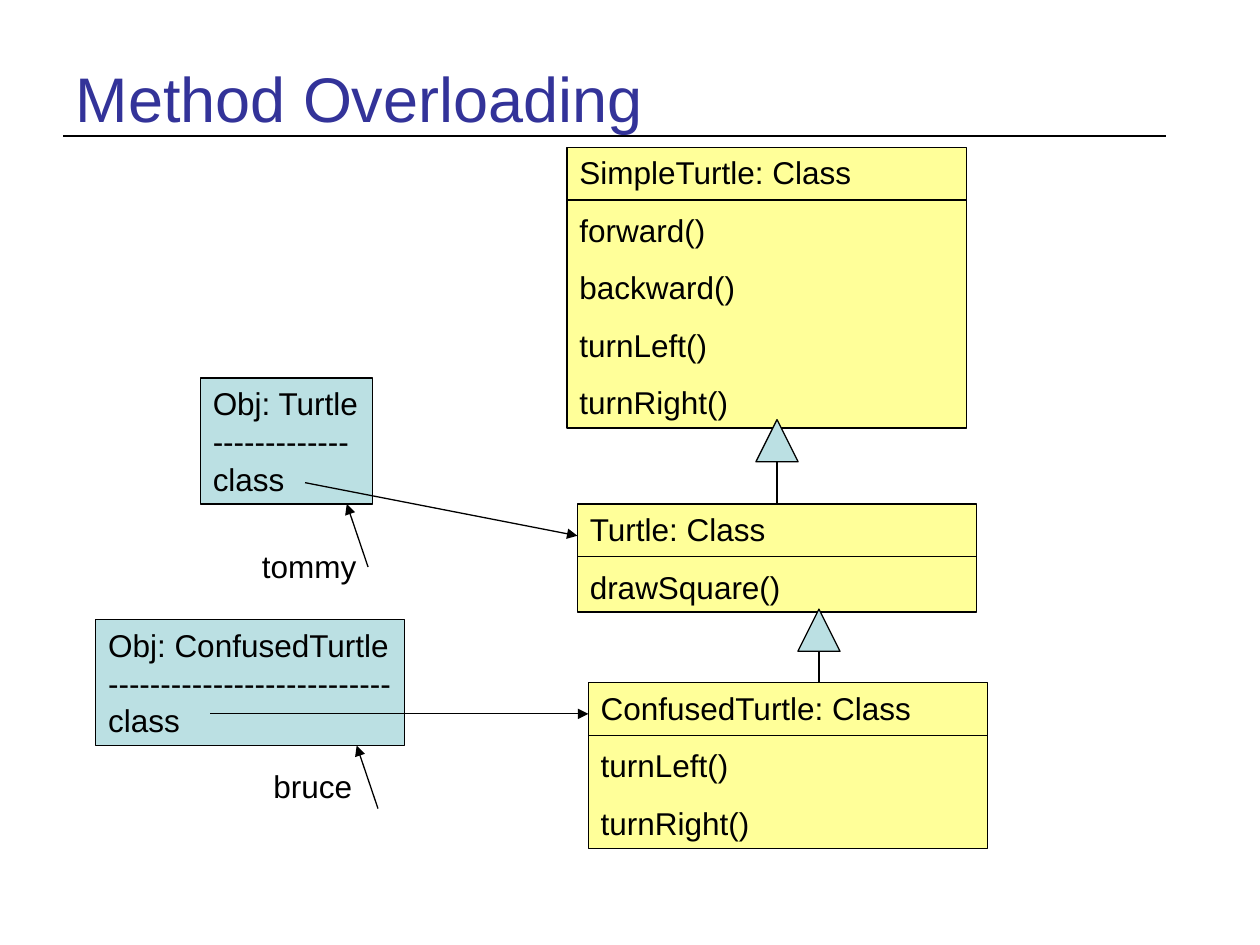
from lxml.etree import SubElement
from pptx import Presentation
from pptx.dml.color import RGBColor
from pptx.enum.shapes import MSO_CONNECTOR, MSO_SHAPE
from pptx.enum.text import MSO_ANCHOR, MSO_AUTO_SIZE, PP_ALIGN
from pptx.oxml.ns import qn
from pptx.util import Cm, Pt

COLORS = {
    "title": "333399",
    "ink": "000000",
    "class": "FFFF99",
    "object": "BBE0E3",
}
FONT = "Arial"
CLASS_WIDTH = 8.05
HEADER_HEIGHT = 1.06
OBJECT_HEIGHT = 2.54
TRIANGLE_SIZE = 0.85


def color(name):
    return RGBColor.from_string(COLORS[name])


def write_text(frame, text, size=18, ink="ink", space_before=0, wrap=True,
               anchor=MSO_ANCHOR.TOP, auto_size=MSO_AUTO_SIZE.SHAPE_TO_FIT_TEXT):
    frame.text = text
    frame.word_wrap = wrap
    frame.auto_size = auto_size
    frame.vertical_anchor = anchor
    for paragraph in frame.paragraphs:
        paragraph.alignment = PP_ALIGN.LEFT
        paragraph.space_before = Pt(space_before)
        font = paragraph.runs[0].font
        font.name = FONT
        font.size = Pt(size)
        font.color.rgb = color(ink)


def add_line(slide, start, end, width=0.75, arrow=False):
    line = slide.shapes.add_connector(
        MSO_CONNECTOR.STRAIGHT, *(Cm(value) for value in (*start, *end)))
    line.line.color.rgb = color("ink")
    line.line.width = Pt(width)
    if arrow:
        SubElement(line.line._get_or_add_ln(), qn("a:tailEnd"), type="triangle")
    SubElement(line._element.spPr, qn("a:effectLst"))
    return line


def add_box(slide, kind, fill, left, top, width, height):
    box = slide.shapes.add_shape(kind, Cm(left), Cm(top), Cm(width), Cm(height))
    box.shadow.inherit = False
    box.fill.solid()
    box.fill.fore_color.rgb = color(fill)
    box.line.color.rgb = color("ink")
    box.line.width = Pt(0.75)
    return box


def add_heading(slide, text, left, top, width, height):
    title = slide.shapes.title
    title.left, title.top = Cm(left), Cm(top)
    title.width, title.height = Cm(width), Cm(height)
    write_text(title.text_frame, text, size=36, ink="title",
               anchor=MSO_ANCHOR.MIDDLE, auto_size=MSO_AUTO_SIZE.NONE)
    add_line(slide, (left, top + 1.98), (left + 22.23, top + 1.98), width=1.5)


def add_class(slide, name, methods, left, top, height):
    box = add_box(slide, MSO_SHAPE.RECTANGLE, "class", left, top, CLASS_WIDTH, height)
    write_text(box.text_frame, "\n".join([f"{name}: Class", *methods]), space_before=11.2)
    divider = top + HEADER_HEIGHT
    add_line(slide, (left, divider), (left + CLASS_WIDTH, divider))
    return box


def add_inheritance(slide, center, top, subclass_top):
    add_box(slide, MSO_SHAPE.ISOSCELES_TRIANGLE, "object",
            center - TRIANGLE_SIZE / 2, top, TRIANGLE_SIZE, TRIANGLE_SIZE)
    return add_line(slide, (center, top + TRIANGLE_SIZE), (center, subclass_top))


def add_object(slide, class_name, dashes, left, top, width, pointer_start, pointer_end):
    box = add_box(slide, MSO_SHAPE.RECTANGLE, "object", left, top, width, OBJECT_HEIGHT)
    write_text(box.text_frame, f"Obj: {class_name}\n{'-' * dashes}\nclass", wrap=False)
    add_line(slide, (left + pointer_start[0], top + pointer_start[1]),
             pointer_end, arrow=True)


def add_variable(slide, name, left, top, width, arrow_tip):
    label = slide.shapes.add_textbox(Cm(left), Cm(top), Cm(width), Cm(1.02))
    write_text(label.text_frame, name, wrap=False)
    tip_x, tip_y = arrow_tip
    add_line(slide, (tip_x + 0.43, tip_y + 1.27), arrow_tip, arrow=True)


def main():
    presentation = Presentation()
    presentation.slide_width, presentation.slide_height = Cm(25.4), Cm(19.05)
    slide = presentation.slides.add_slide(presentation.slide_layouts[5])

    add_heading(slide, "Method Overloading", 1.27, 0.76, 22.86, 2.41)

    add_class(slide, "SimpleTurtle",
              ["forward()", "backward()", "turnLeft()", "turnRight()"], 11.43, 2.97, 5.66)
    turtle_left = 11.64
    turtle = add_class(slide, "Turtle", ["drawSquare()"], turtle_left, 10.16, 2.18)
    add_class(slide, "ConfusedTurtle", ["turnLeft()", "turnRight()"], 11.86, 13.76, 3.35)

    turtle_stem = add_inheritance(slide, turtle_left + CLASS_WIDTH / 2, 8.46, 10.16)
    turtle_stem.end_connect(turtle, 0)
    add_inheritance(slide, 16.51, 12.28, 13.76)

    add_object(slide, "Turtle", 13, 4.04, 7.62, 3.47, (2.11, 2.11), (turtle_left, 10.8))
    add_object(slide, "ConfusedTurtle", 27, 1.93, 12.49, 6.22, (2.31, 1.9), (11.86, 14.39))

    add_variable(slide, "tommy", 5.03, 10.9, 2.5, (6.99, 10.16))
    add_variable(slide, "bruce", 5.26, 15.34, 2.25, (7.19, 15.03))

    presentation.save("out.pptx")


if __name__ == "__main__":
    main()
